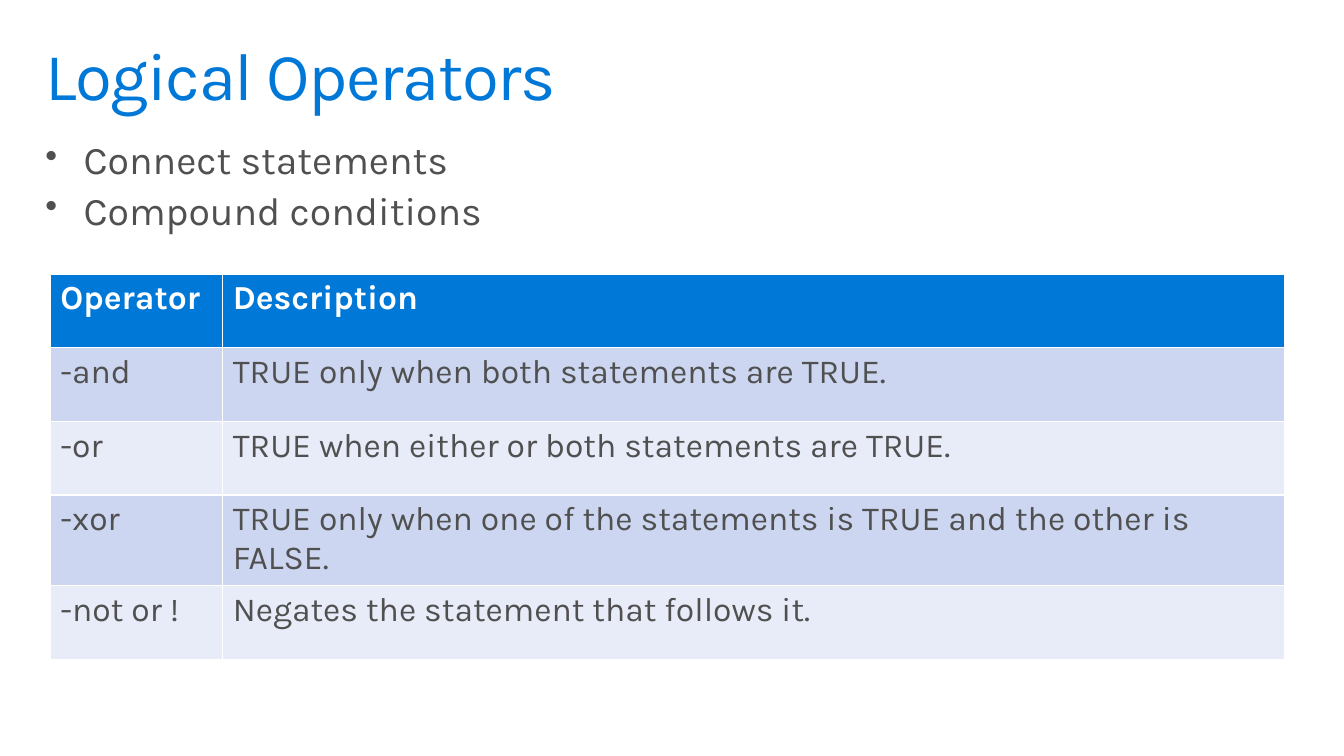
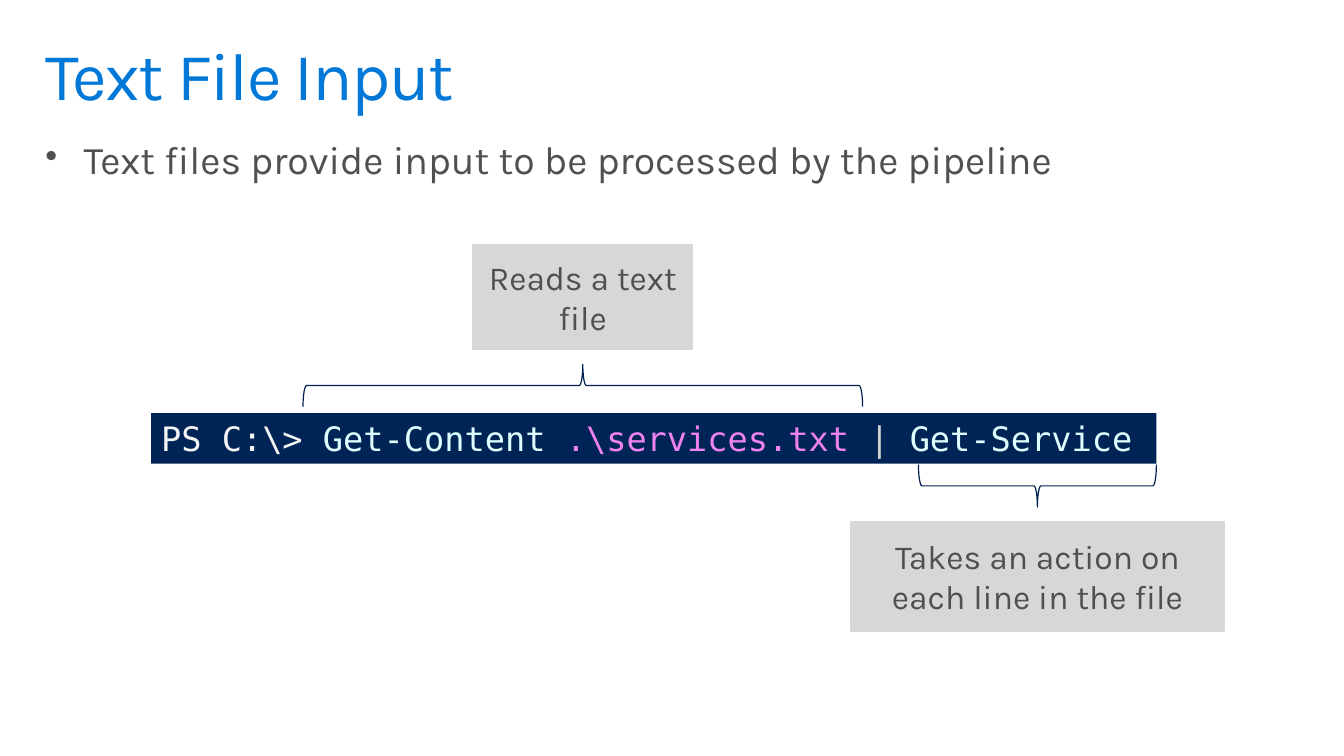
from lxml.etree import SubElement
from pptx import Presentation
from pptx.dml.color import RGBColor
from pptx.enum.shapes import MSO_SHAPE
from pptx.enum.text import MSO_ANCHOR, PP_ALIGN
from pptx.oxml.ns import qn
from pptx.util import Inches, Pt

HUES = {
    "blue": "0078D7", "text": "505050", "white": "FFFFFF", "navy": "002050",
    "grey": "D7D7D7", "shell": "012456", "odd": "CCD6F0", "even": "E7ECF8",
    "prompt": "F5F5F5", "verb": "E0FFFF", "value": "EE82EE", "pipe": "D3D3D3",
}
FONTS = {
    "title": {"name": "Karla", "size": Pt(48), "bold": False},
    "body": {"name": "Karla", "size": Pt(28), "bold": False},
    "label": {"name": "Karla", "size": Pt(24), "bold": False},
    "head": {"name": "Karla", "size": Pt(24), "bold": True},
    "code": {"name": "DejaVu Sans Mono", "size": Pt(24), "bold": False},
}
FRAME = {
    "word_wrap": True, "vertical_anchor": MSO_ANCHOR.TOP,
    "margin_left": Inches(0.16), "margin_right": Inches(0.16),
    "margin_top": Inches(0.1), "margin_bottom": Inches(0.1),
}
RULES = [
    ("-and", "TRUE only when both statements are TRUE."),
    ("-or", "TRUE when either or both statements are TRUE."),
    ("-xor", "TRUE only when one of the statements is TRUE and the other is FALSE."),
    ("-not or !", "Negates the statement that follows it."),
]
CODE = [
    ("PS C:\\> ", "prompt"), ("Get-Content ", "verb"),
    (".\\services.txt ", "value"), ("| ", "pipe"), ("Get-Service", "verb"),
]


def hue(key):
    """Return the named colour."""
    return RGBColor.from_string(HUES[key])


def apply(target, values):
    """Set each format value on the target."""
    for key, value in values.items():
        setattr(target, key, value)


def write(para, text, style, color):
    """Add a styled run to a paragraph."""
    run = para.add_run()
    run.text = text
    apply(run.font, FONTS[style])
    run.font.color.rgb = hue(color)
    return run


def add_text(slide, box):
    """Add a wrapping text box and return its frame."""
    frame = slide.shapes.add_textbox(*map(Inches, box)).text_frame
    apply(frame, FRAME)
    return frame


def add_title(slide, text):
    """Add the slide title."""
    para = add_text(slide, (0.29, 0.32, 12.75, 0.98)).paragraphs[0]
    para.line_spacing = 0.9
    run = write(para, text, "title", "blue")
    run.font._element.set("spc", "-100")


def add_list(slide, items):
    """Add the bulleted body text."""
    frame = add_text(slide, (0.29, 1.3, 12.74, 1.14))
    for spot, item in enumerate(items):
        para = frame.add_paragraph() if spot else frame.paragraphs[0]
        props = para._p.get_or_add_pPr()
        props.set("marL", str(Inches(0.38)))
        props.set("indent", str(-Inches(0.38)))
        SubElement(props, qn("a:buSzPct"), val="90000")
        SubElement(props, qn("a:buChar"), char="•")
        para.line_spacing = 0.9
        para.space_before = Pt(5.6 if spot else 0)
        write(para, item, "body", "text")


def add_edges(cell):
    """Draw white borders around a cell."""
    props = cell._tc.get_or_add_tcPr()
    for spot, side in enumerate(("lnL", "lnR", "lnT", "lnB")):
        line = props.makeelement(qn(f"a:{side}"), {"w": str(Pt(1))})
        fill = SubElement(line, qn("a:solidFill"))
        SubElement(fill, qn("a:srgbClr"), val=HUES["white"])
        props.insert(spot, line)


def add_grid(slide, rows):
    """Add the table with a header row and banded body rows."""
    box = map(Inches, (0.5, 2.72, 12.24, 3.65))
    table = slide.shapes.add_table(len(rows), len(rows[0]), *box).table
    for column, width in zip(table.columns, (1.71, 10.53)):
        column.width = Inches(width)
    for spot, row in enumerate(rows):
        table.rows[spot].height = Inches(0.73)
        band = ("odd" if spot % 2 else "even") if spot else "blue"
        look = ("label", "text") if spot else ("head", "white")
        for cell, text in zip(table.rows[spot].cells, row):
            cell.fill.solid()
            cell.fill.fore_color.rgb = hue(band)
            add_edges(cell)
            write(cell.text_frame.paragraphs[0], text, *look)


def add_box(slide, box, fill):
    """Add a plain filled rectangle."""
    shape = slide.shapes.add_shape(MSO_SHAPE.RECTANGLE, *map(Inches, box))
    shape.shadow.inherit = False
    shape.fill.solid()
    shape.fill.fore_color.rgb = hue(fill)
    shape.line.fill.background()
    shape.text_frame.word_wrap = True
    return shape


def add_note(slide, box, text):
    """Add a grey callout with centred text."""
    shape = add_box(slide, box, "grey")
    shape.line.color.rgb = hue("grey")
    shape.line.width = Pt(0.85)
    shape.text_frame.vertical_anchor = MSO_ANCHOR.MIDDLE
    para = shape.text_frame.paragraphs[0]
    para.alignment = PP_ALIGN.CENTER
    write(para, text, "label", "text")


def add_code(slide, box, parts):
    """Add the shell line with coloured parts."""
    frame = add_box(slide, box, "shell").text_frame
    frame.vertical_anchor = MSO_ANCHOR.TOP
    para = frame.paragraphs[0]
    para.alignment = PP_ALIGN.LEFT
    for text, color in parts:
        write(para, text, "code", color)


def add_brace(slide, box, turn):
    """Add a turned brace."""
    shape = slide.shapes.add_shape(MSO_SHAPE.LEFT_BRACE, *map(Inches, box))
    shape.shadow.inherit = False
    shape.fill.background()
    shape.line.color.rgb = hue("navy")
    shape.line.width = Pt(0.85)
    shape.rotation = turn


def add_slide(deck, title, items):
    """Add a slide with its title and bullets."""
    slide = deck.slides.add_slide(deck.slide_layouts[6])
    add_list(slide, items)
    add_title(slide, title)
    return slide


def main():
    """Build and save the deck."""
    deck = Presentation()
    apply(deck, {"slide_width": Inches(13.33), "slide_height": Inches(7.5)})

    slide = add_slide(deck, "Logical Operators",
                      ["Connect statements", "Compound conditions"])
    add_grid(slide, [("Operator", "Description"), *RULES])

    slide = add_slide(deck, "Text File Input",
                      ["Text files provide input to be processed by the pipeline"])
    add_code(slide, (1.5, 4.1, 9.97, 0.5), CODE)
    add_brace(slide, (10.08, 3.64, 0.42, 2.36), 270)
    add_note(slide, (4.69, 2.43, 2.18, 1.04), "Reads a text file")
    add_brace(slide, (5.57, 1.05, 0.42, 5.55), 90)
    add_note(slide, (8.44, 5.17, 3.7, 1.09),
             "Takes an action on each line in the file")
    deck.save("out.pptx")


if __name__ == "__main__":
    main()
